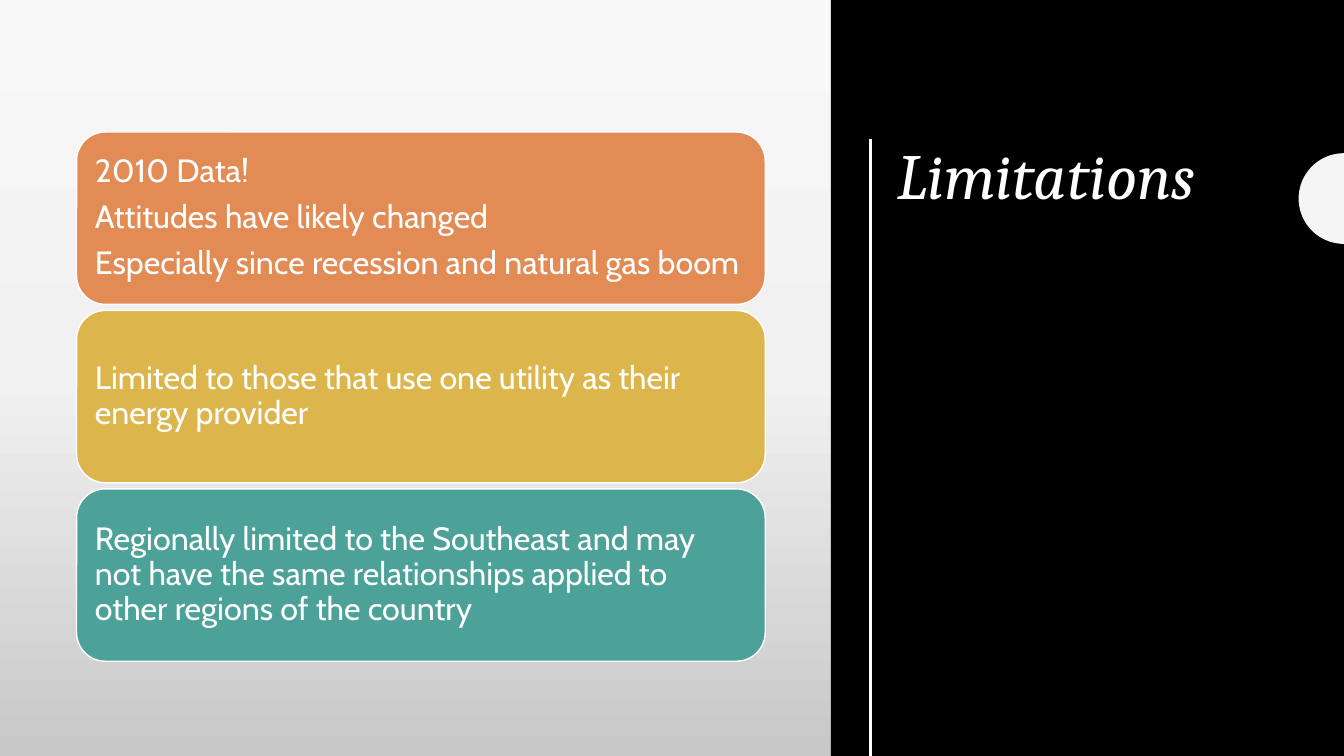
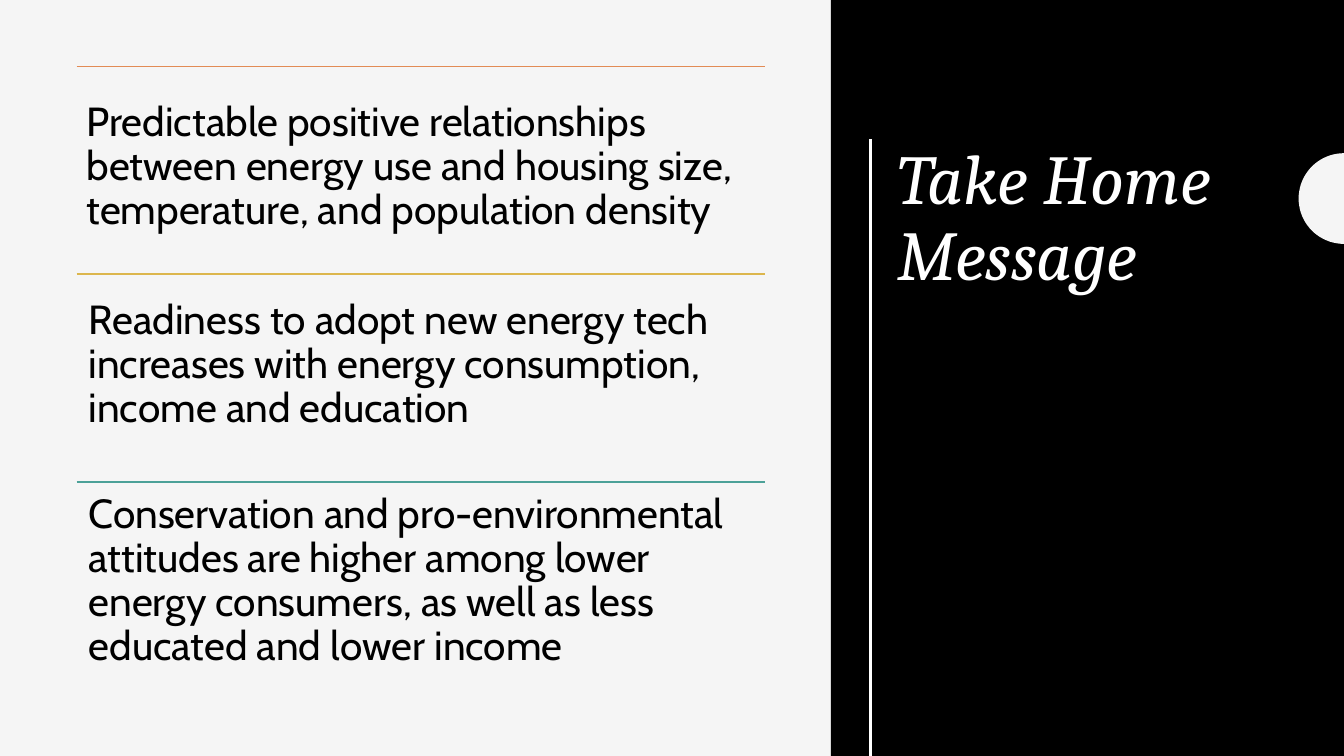
from copy import deepcopy
from math import cos, pi, sin

from pptx import Presentation
from pptx.dml.color import RGBColor
from pptx.enum.shapes import MSO_CONNECTOR, MSO_SHAPE
from pptx.enum.text import MSO_ANCHOR, PP_ALIGN
from pptx.oxml.ns import qn
from pptx.util import Inches, Pt

RECT = MSO_SHAPE.RECTANGLE
ROUND = MSO_SHAPE.ROUNDED_RECTANGLE
STRAIGHT = MSO_CONNECTOR.STRAIGHT
LEFT = PP_ALIGN.LEFT
TOP = MSO_ANCHOR.TOP
MIDDLE = MSO_ANCHOR.MIDDLE

WIDTH, HEIGHT = 13.33, 7.5
SPLIT = 8.24
EDGE, SPAN = 0.76, 6.83
BLACK, WHITE, PALE = "000000", "FFFFFF", "F5F5F5"
ACCENTS = ["E28B55", "DCB64D", "4CA198"]
SHADES = [(0, "F8F8F8"), (0.5, "F1F1F1"), (1, "C8C8C8")]
HEAD, BODY = "Cambria", "Cabin"

LIMITS = [
    ["2010 Data!", "Attitudes have likely changed",
     "Especially since recession and natural gas boom"],
    ["Limited to those that use one utility as their energy provider"],
    ["Regionally limited to the Southeast and may not have the same "
     "relationships applied to other regions of the country"],
]
POINTS = [
    (0.91, 7.04, 1.42, 0.1,
     "Predictable positive relationships between energy use and housing "
     "size, temperature, and population density"),
    (2.85, SPAN, 2.06, 0.12,
     "Readiness to adopt new energy tech increases with energy "
     "consumption, income and education"),
    (4.78, SPAN, 2.06, 0.12,
     "Conservation and pro-environmental attitudes are higher among lower "
     "energy consumers, as well as less educated and lower income"),
]


def rgb(code):
    return RGBColor.from_string(code)


def box(*sizes):
    return [Inches(size) for size in sizes]


def paint(shape, fill, line=None):
    shape.shadow.inherit = False
    shape.fill.solid()
    shape.fill.fore_color.rgb = rgb(fill)
    if line:
        shape.line.color.rgb = rgb(line)
        shape.line.width = Pt(1)
    else:
        shape.line.fill.background()


def block(slide, kind, area, fill, line=None):
    shape = slide.shapes.add_shape(kind, *box(*area))
    paint(shape, fill, line)
    return shape


def shade(shape, stops):
    fill = shape.fill
    fill.gradient()
    fill.gradient_angle = 270
    first = fill.gradient_stops[0]
    nodes = shape.element.spPr.find(".//" + qn("a:gsLst"))
    nodes.insert(1, deepcopy(nodes[0]))
    for stop, (place, code) in zip(fill.gradient_stops, stops):
        stop.position = place
        stop.color.rgb = rgb(code)


def rule(slide, start, end, color, weight):
    line = slide.shapes.add_connector(STRAIGHT, *box(*start, *end))
    line.line.color.rgb = rgb(color)
    line.line.width = Pt(weight)
    props = line.element.spPr
    props.append(props.makeelement(qn("a:effectLst"), {}))


def write(shape, lines, font, size, color, anchor=TOP, pad=(0.1, 0.1),
          gap=0, slant=False):
    frame = shape.text_frame
    frame.word_wrap = True
    frame.vertical_anchor = anchor
    frame.margin_left = frame.margin_right = Inches(pad[0])
    frame.margin_top = frame.margin_bottom = Inches(pad[1])
    frame.text = "\n".join(lines)
    for para in frame.paragraphs:
        para.alignment = LEFT
        para.line_spacing = 0.9
        para.space_after = Pt(gap)
        para.font.name = font
        para.font.size = Pt(size)
        para.font.color.rgb = rgb(color)
        para.font.italic = slant


def notch(slide, middle, radius, steps=40):
    arc = [(Inches(WIDTH - radius * sin(pi * step / steps)),
            Inches(middle - radius * cos(pi * step / steps)))
           for step in range(steps + 1)]
    path = slide.shapes.build_freeform(*arc[0])
    path.add_line_segments(arc[1:])
    paint(path.convert_to_shape(), PALE)


def base(deck, title, size, stops=None):
    slide = deck.slides.add_slide(deck.slide_layouts[6])
    slide.background.fill.solid()
    slide.background.fill.fore_color.rgb = rgb(PALE)
    if stops:
        shade(block(slide, RECT, (0, 0, WIDTH, HEIGHT), PALE), stops)
    block(slide, RECT, (SPLIT, 0, WIDTH - SPLIT, HEIGHT), BLACK)
    head = slide.shapes.add_textbox(*box(8.8, 1.38, 3.83, 4.65))
    write(head, [title], HEAD, size, WHITE, pad=(0.1, 0.05), slant=True)
    rule(slide, (8.63, 1.38), (8.63, HEIGHT), WHITE, 2)
    notch(slide, 1.97, 0.45)
    return slide


def limits(deck):
    slide = base(deck, "Limitations", 46, SHADES)
    for row, (lines, color) in enumerate(zip(LIMITS, ACCENTS)):
        area = (EDGE, 1.31 + 1.77 * row, SPAN, 1.71)
        card = block(slide, ROUND, area, color, WHITE)
        write(card, lines, BODY, 23, WHITE, MIDDLE, gap=8)


def message(deck):
    slide = base(deck, "Take Home Message", 50)
    for row, color in enumerate(ACCENTS):
        top = 0.66 + 2.06 * row
        rule(slide, (EDGE, top), (EDGE + SPAN, top), color, 1)
    for top, width, height, pad, text in POINTS:
        note = slide.shapes.add_textbox(*box(EDGE, top, width, height))
        write(note, [text], BODY, 29, BLACK, pad=(pad, pad))


def main():
    deck = Presentation()
    deck.slide_width, deck.slide_height = box(WIDTH, HEIGHT)
    limits(deck)
    message(deck)
    deck.save("out.pptx")


if __name__ == "__main__":
    main()
